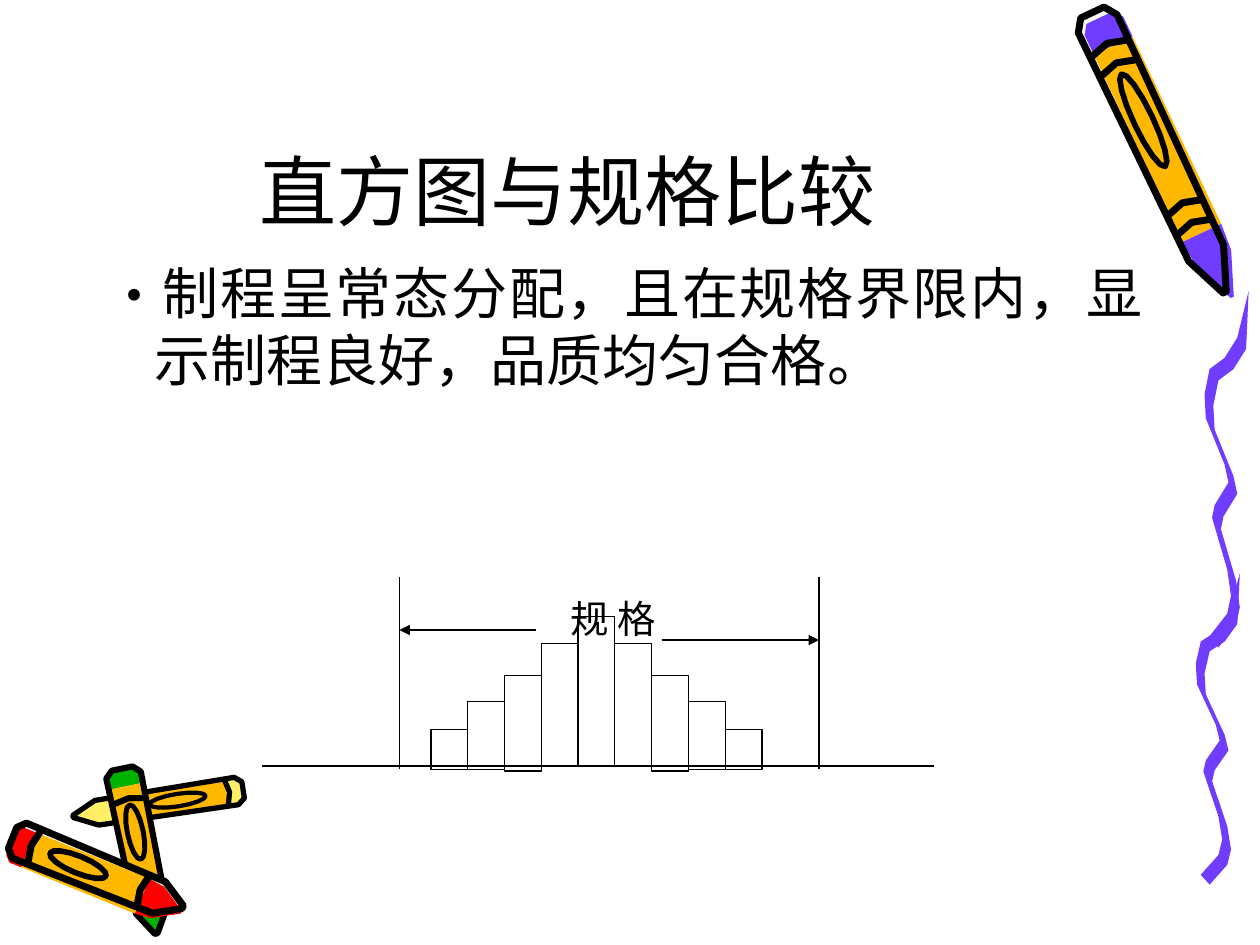
from dataclasses import dataclass
from math import cos, hypot, pi, sin
from typing import NamedTuple

from pptx import Presentation
from pptx.dml.color import RGBColor
from pptx.enum.shapes import MSO_CONNECTOR as Line, MSO_SHAPE as Preset
from pptx.enum.text import MSO_ANCHOR as Anchor, PP_ALIGN as Align
from pptx.oxml.ns import qn
from pptx.util import Inches, Pt

BLACK = RGBColor(0x00, 0x00, 0x00)
WHITE = RGBColor(0xFF, 0xFF, 0xFF)
PAPER = RGBColor(0xF8, 0xF8, 0xF8)
PURPLE = RGBColor(0x70, 0x3D, 0xFF)
AMBER = RGBColor(0xFF, 0xB8, 0x00)
LEMON = RGBColor(0xFF, 0xEF, 0x66)
RED = RGBColor(0xFF, 0x00, 0x00)
GREEN = RGBColor(0x00, 0xB2, 0x00)

CELL = Inches(0.01)
COLUMNS, ROWS = 1000, 750
LATIN_FONT, HAN_FONT = "Comic Neue", "Noto Sans CJK SC"

CAP_END, WRAPPER_END, SHOULDER = 0.1, 0.77, 0.86
BADGE_START, BADGE_END, BADGE_WIDTH = 0.22, 0.55, 0.45


class Box(NamedTuple):
    """Region on the slide grid, divided into its own columns and rows."""
    left: float
    top: float
    width: float
    height: float
    columns: float
    rows: float

    def point(self, column, row):
        """Return the slide position of a local grid point."""
        return (round(CELL * (self.left + column * self.width / self.columns)),
                round(CELL * (self.top + row * self.height / self.rows)))

    def area(self, left, top, right, bottom):
        """Return left, top, width and height of a local rectangle."""
        (x1, y1), (x2, y2) = self.point(left, top), self.point(right, bottom)
        return x1, y1, x2 - x1, y2 - y1


@dataclass
class Crayon:
    """Crayon along an axis from tail to tip, with ink printed slightly off register."""
    tail: tuple
    tip: tuple
    radius: float
    color: RGBColor
    ink: float
    shift: tuple
    bands: tuple

    def place(self, along, across, shift=(0, 0)):
        """Turn shares of the length and radius into a local grid point."""
        run, rise = self.tip[0] - self.tail[0], self.tip[1] - self.tail[1]
        reach = across * self.radius / hypot(run, rise)
        return (self.tail[0] + along * run - reach * rise + shift[0],
                self.tail[1] + along * rise + reach * run + shift[1])


def mirrored(half):
    """Close a half profile with its reflection across the axis."""
    return half + [(along, -across) for along, across in reversed(half)]


def draw_polygon(page, box, points, fill=None, ink=0, close=True):
    """Draw a freeform with an optional fill and an optional black stroke."""
    start, *rest = [box.point(*point) for point in points]
    builder = page.shapes.build_freeform(*start)
    builder.add_line_segments(rest, close=close)
    style_shape(builder.convert_to_shape(), fill, ink)


def style_shape(shape, fill, ink):
    """Set the fill and the black outline of a shape."""
    shape.shadow.inherit = False
    if fill is None:
        shape.fill.background()
    else:
        shape.fill.solid()
        shape.fill.fore_color.rgb = fill
    if ink:
        shape.line.color.rgb = BLACK
        shape.line.width = Pt(ink)
    else:
        shape.line.fill.background()


def draw_crayon(page, box, crayon):
    """Draw paper backing, colored parts, then outline, bands and badge in ink."""
    silhouette = mirrored([(0, 0.6), (0.04, 1), (SHOULDER, 0.9), (1, 0.08)])
    cap = mirrored([(0, 0.7), (0.03, 1), (CAP_END, 1)])
    wrapper = mirrored([(CAP_END, 1), (WRAPPER_END, 1)])
    point = mirrored([(WRAPPER_END, 1), (SHOULDER, 0.9), (1, 0.08)])
    steps = 8
    badge = mirrored([(BADGE_START + (BADGE_END - BADGE_START) * (1 - cos(pi * step / steps)) / 2,
                       BADGE_WIDTH * sin(pi * step / steps)) for step in range(steps + 1)])
    chevrons = [[(band, -1), (band - 0.02, 0), (band, 1)] for band in crayon.bands]

    def layer(profile, shift=(0, 0), **style):
        """Draw one profile of this crayon."""
        draw_polygon(page, box, [crayon.place(*spot, shift) for spot in profile], **style)

    layer(silhouette, crayon.shift, fill=PAPER)
    for profile, color in ((cap, crayon.color), (wrapper, AMBER), (point, crayon.color)):
        layer(profile, fill=color)
    layer(silhouette, crayon.shift, ink=crayon.ink)
    layer(badge, crayon.shift, ink=crayon.ink * 0.8)
    for chevron in chevrons:
        layer(chevron, crayon.shift, ink=crayon.ink, close=False)


def draw_big_crayon(page, box):
    """Draw the large purple crayon with paired bands at both ends."""
    draw_crayon(page, box, Crayon((33, 14), (138, 236), 17, PURPLE, 4, (-6, -4),
                                  (0.13, 0.2, 0.7, 0.77)))


def draw_crayon_pile(page, box):
    """Draw three small crayons, the red one on top."""
    for crayon in (
        Crayon((193, 27), (58, 48), 11, LEMON, 3, (0, 0), (CAP_END,)),
        Crayon((97, 11), (124, 142), 14, GREEN, 3.5, (0, -1), (0.2,)),
        Crayon((9, 69), (144, 124), 15, RED, 4, (1, -4), (0.13, WRAPPER_END)),
    ):
        draw_crayon(page, box, crayon)


def draw_squiggle(page, box):
    """Sweep a slanted nib along the bends of a wavy stroke."""
    nib_x, nib_y = 7, 9
    bends = [(35, 0), (26, 37), (16, 53), (4, 62), (0, 82), (1, 101), (16, 138), (19, 152),
             (8, 170), (6, 180), (18, 221), (21, 242), (18, 256), (4, 274)]
    far_edge = [(x + nib_x, y + nib_y) for x, y in reversed(bends[1:])]
    draw_polygon(page, box, bends + far_edge, fill=PURPLE)


def draw_line(page, box, start, end, arrow=False):
    """Draw a thin straight black line between two local points."""
    line = page.shapes.add_connector(Line.STRAIGHT, *box.point(*start), *box.point(*end))
    line.line.color.rgb = BLACK
    line.line.width = Pt(0.75)
    properties = line._element.spPr
    if arrow:
        stroke = properties.find(qn("a:ln"))
        stroke.append(stroke.makeelement(qn("a:tailEnd"), {"type": "triangle"}))
    properties.append(properties.makeelement(qn("a:effectLst"), {}))


def write_text(page, area, text, size, font, align, anchor=Anchor.TOP, bullet=False):
    """Place one paragraph of black text in an area."""
    frame = page.shapes.add_textbox(*area).text_frame
    frame.word_wrap = True
    frame.vertical_anchor = anchor
    para = frame.paragraphs[0]
    para.text = text
    para.alignment = align
    if bullet:
        properties = para._p.get_or_add_pPr()
        properties.set("marL", str(Inches(0.38)))
        properties.set("indent", str(-Inches(0.38)))
        properties.append(properties.makeelement(qn("a:buFont"), {"typeface": HAN_FONT}))
        properties.append(properties.makeelement(qn("a:buChar"), {"char": "•"}))
    span = para.runs[0]
    span.font.name = font
    span.font.size = Pt(size)
    span.font.color.rgb = BLACK
    han = span._r.get_or_add_rPr()
    han.append(han.makeelement(qn("a:ea"), {"typeface": HAN_FONT}))


def write_message(page, box):
    """Write the title and the bullet below it."""
    write_text(page, box.area(0, 0, 751, 175), "直方图与规格比较", 44, LATIN_FONT,
               Align.CENTER, Anchor.BOTTOM)
    write_text(page, box.area(0, 183, 842, 583),
               "制程呈常态分配，且在规格界限内，显示制程良好，品质均匀合格。",
               32, LATIN_FONT, Align.JUSTIFY, bullet=True)


def draw_histogram(page, box):
    """Draw the symmetric bars between the two specification limits."""
    rising, peak = [(121, 153), (99, 153), (78, 154), (53, 150)], (31, 150)
    first, step = 134, 29.2
    for index, (top, bottom) in enumerate(rising + [peak] + rising[::-1]):
        left = first + index * step
        bar = page.shapes.add_shape(Preset.RECTANGLE, *box.area(left, top, left + step, bottom))
        style_shape(bar, WHITE, 0.75)
    lower, upper, axis = 109, 442, 150
    for limit in (lower, upper):
        draw_line(page, box, (limit, 0), (limit, 152))
    for start, limit, row in ((217, lower, 42), (317, upper, 50)):
        draw_line(page, box, (start, row), (limit, row), arrow=True)
    draw_line(page, box, (0, axis), (box.columns, axis))
    write_text(page, box.area(209, 9, 348, 51), "规 格", 22, HAN_FONT, Align.CENTER)


def main():
    """Build the slide and save it."""
    deck = Presentation()
    deck.slide_width, deck.slide_height = CELL * COLUMNS, CELL * ROWS
    page = deck.slides.add_slide(deck.slide_layouts[6])
    draw_crayon_pile(page, Box(0, 600, 200, 150, 200, 150))
    for left, top, height in ((949, 455, 248), (956, 231, 284)):
        draw_squiggle(page, Box(left, top, 36, height, 36, 284))
    draw_big_crayon(page, Box(840, 0, 140, 240, 140, 240))
    write_message(page, Box(75, 17, 842, 583, 842, 583))
    draw_histogram(page, Box(208, 458, 533, 154, 533, 154))
    deck.save("out.pptx")


if __name__ == "__main__":
    main()
